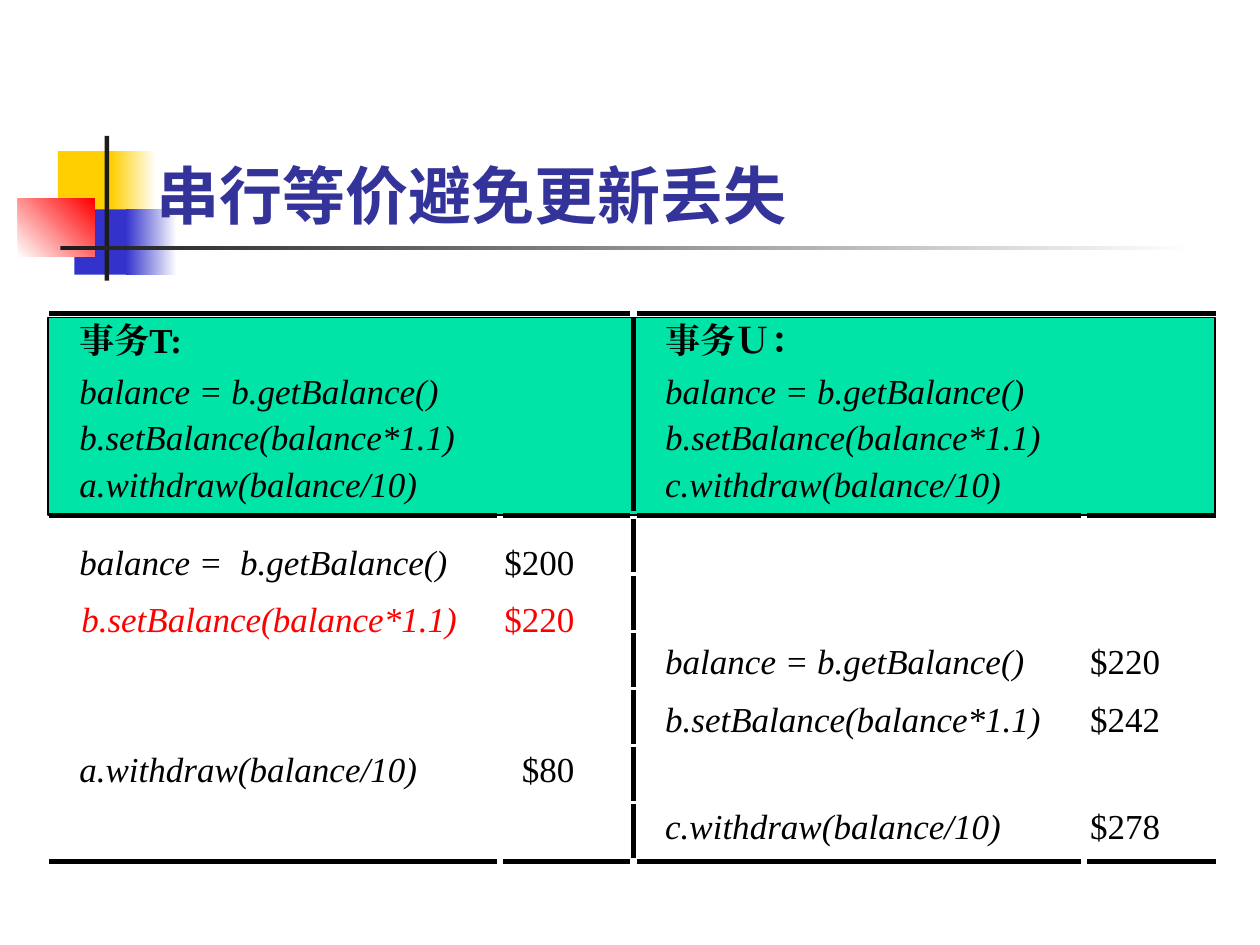
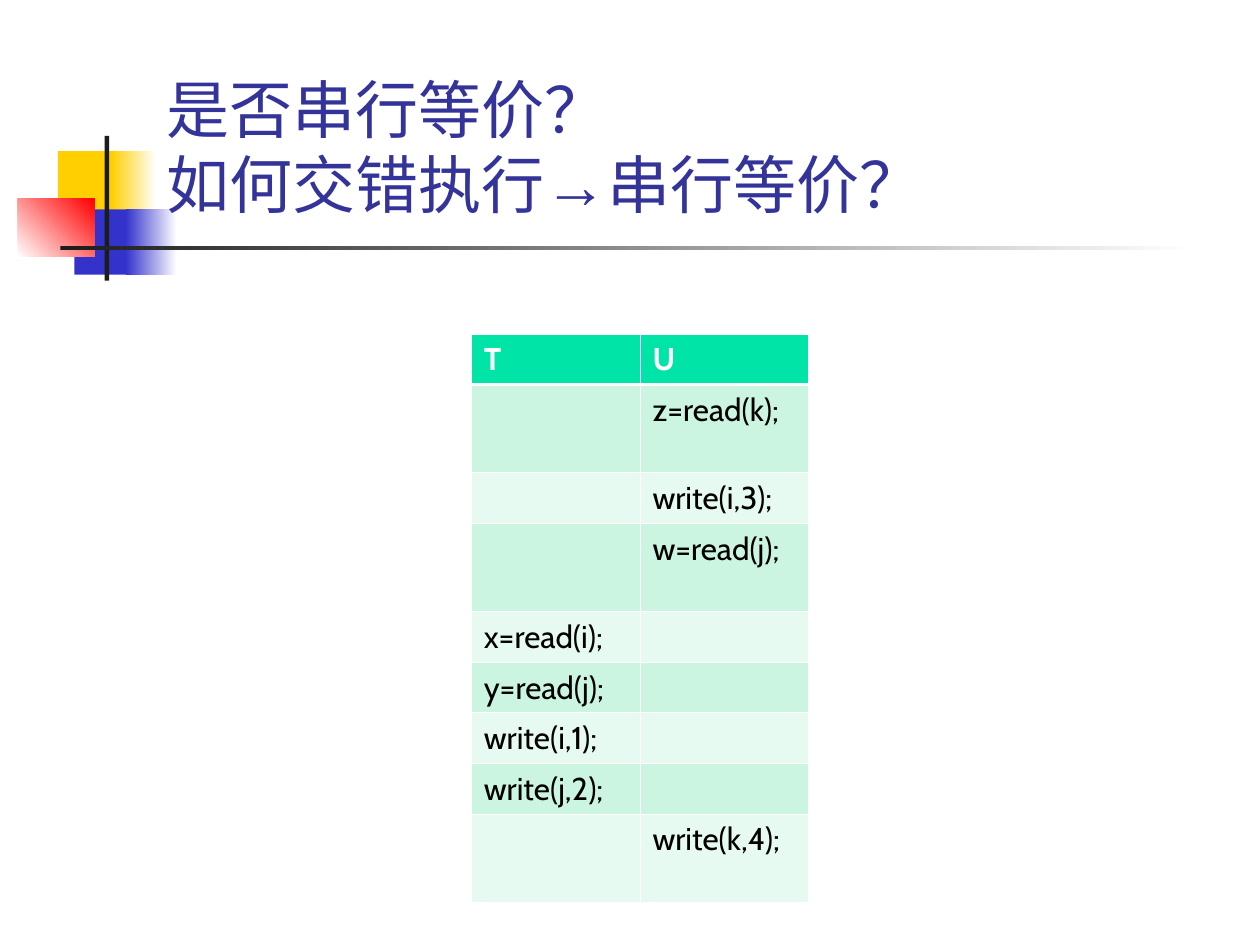
from dataclasses import dataclass

from lxml import etree
from pptx import Presentation
from pptx import util as u
from pptx.dml.color import RGBColor
from pptx.enum import shapes, text
from pptx.oxml.ns import qn


@dataclass(frozen=True)
class Theme:
    ink: str = "000000"
    paper: str = "FFFFFF"
    title: str = "333399"
    gold: str = "FFCF01"
    blue: str = "3333CC"
    red: str = "FF0000"
    dark: str = "1C1C1C"
    mint: str = "00E4A8"
    bands: tuple = ("CBF5E1", "E7FAF1")
    sans: str = "Cabin"
    serif: str = "Times New Roman"
    asian: str = "Noto Sans CJK JP"
    arrow: str = "Arial"
    head: int = 36
    code: int = 20
    cell: int = 18
    rule: float = 2.86
    thin: float = 0.45
    thick: float = 1.47


class Deck:
    """Holds the theme and the current slide, and draws each kind of element."""

    def __init__(self, theme):
        self.theme = theme
        self.file = Presentation()
        self.file.slide_width, self.file.slide_height = u.Cm(25.4), u.Cm(19.05)

    def page(self):
        t = self.theme
        self.slide = self.file.slides.add_slide(self.file.slide_layouts[6])
        self.rect((1.17, 3.05, 1.22, 1.32), t.gold)
        self.rect((2.24, 3.05, 0.91, 1.32), t.gold, t.paper)
        self.rect((1.5, 4.22, 1.17, 1.32), t.blue)
        self.rect((2.54, 4.22, 1.02, 1.32), t.blue, t.paper)
        self.rect((0.36, 4.01, 1.55, 1.17), t.paper, t.red, angle=45)
        self.rect((2.11, 2.74, 0.09, 2.92), t.dark)
        self.rect((1.22, 4.95, 22.86, 0.09), t.dark, t.paper)

    def rect(self, box, color, fade=None, angle=0, line=None):
        shape = self.slide.shapes.add_shape(shapes.MSO_SHAPE.RECTANGLE, *map(u.Cm, box))
        shape.shadow.inherit = False
        if fade:
            shape.fill.gradient()
            shape.fill.gradient_angle = angle
            for stop, tint in zip(shape.fill.gradient_stops, (color, fade)):
                stop.color.rgb = RGBColor.from_string(tint)
        else:
            shape.fill.solid()
            shape.fill.fore_color.rgb = RGBColor.from_string(color)
        if line:
            shape.line.color.rgb = RGBColor.from_string(line)
            shape.line.width = u.Pt(1)
        else:
            shape.line.fill.background()

    def rule(self, x1, y1, x2, y2):
        line = self.slide.shapes.add_connector(
            shapes.MSO_CONNECTOR.STRAIGHT, *map(u.Cm, (x1, y1, x2, y2)))
        line.line.color.rgb = RGBColor.from_string(self.theme.ink)
        line.line.width = u.Pt(self.theme.rule)
        etree.SubElement(line._element.spPr, qn("a:effectLst"))

    def face(self, font, name):
        font.name = name
        etree.SubElement(font._rPr, qn("a:ea"), typeface=name)

    def style(self, para, name, size, color, bold=False, italic=False):
        font = para.font
        font.size, font.bold, font.italic = u.Pt(size), bold, italic
        font.color.rgb = RGBColor.from_string(color)
        self.face(font, name)

    def frame(self, box):
        frame = self.slide.shapes.add_textbox(*map(u.Cm, box)).text_frame
        frame.word_wrap = True
        return frame

    def title(self, box, words, name, bold=False):
        frame = self.frame(box)
        frame.vertical_anchor = text.MSO_ANCHOR.BOTTOM
        para = frame.paragraphs[0]
        para.text = words
        self.style(para, name, self.theme.head, self.theme.title, bold)
        return para

    def code(self, left, top, words, color=None, bold=False, italic=True, width=8, right=False):
        frame = self.frame((left, top, width, 0.84))
        frame.margin_left = frame.margin_right = frame.margin_top = frame.margin_bottom = 0
        para = frame.paragraphs[0]
        para.text = words
        if right:
            para.alignment = text.PP_ALIGN.RIGHT
        self.style(para, self.theme.serif, self.theme.code, color or self.theme.ink, bold, italic)

    def edge(self, cell, side, width):
        line = etree.SubElement(cell._tc.get_or_add_tcPr(), qn("a:ln" + side), w=str(u.Pt(width)))
        fill = etree.SubElement(line, qn("a:solidFill"))
        etree.SubElement(fill, qn("a:srgbClr"), val=self.theme.paper)

    def table(self, left, top, width, rows):
        t = self.theme
        total = sum(high for high, *_ in rows)
        grid = self.slide.shapes.add_table(
            len(rows), 2, *map(u.Cm, (left, top, 2 * width, total))).table
        for col in grid.columns:
            col.width = u.Cm(width)
        for i, (high, *words) in enumerate(rows):
            grid.rows[i].height = u.Cm(high)
            for j, word in enumerate(words):
                cell = grid.cell(i, j)
                for side in "LRTB":
                    heavy = (i, side) in ((0, "B"), (1, "T"))
                    self.edge(cell, side, t.thick if heavy else t.thin)
                cell.fill.solid()
                tint = t.bands[(i - 1) % 2] if i else t.mint
                cell.fill.fore_color.rgb = RGBColor.from_string(tint)
                para = cell.text_frame.paragraphs[0]
                para.text = word
                self.style(para, t.sans, t.cell, t.ink if i else t.paper, bold=i == 0)


def update(deck):
    t = deck.theme
    deck.page()
    deck.rect((0.97, 6.4, 23.52, 3.99), t.mint, line=t.ink)
    deck.title((2.9, 2.31, 18.8, 2.49), "串行等价避免更新丢失", t.asian, bold=True)

    left, right = 1.6, 13.41
    for x, name, last in ((left, "事务T:", "a"), (right, "事务Ｕ：", "c")):
        deck.code(x, 6.43, name, bold=True, italic=False)
        steps = ("balance = b.getBalance()", "b.setBalance(balance*1.1)",
                 f"{last}.withdraw(balance/10)")
        for k, step in enumerate(steps):
            deck.code(x, 7.44 + 0.94 * k, step)

    moves = (
        (left, 10.9, "balance =  b.getBalance()", "$200", t.ink),
        (left, 12.04, "b.setBalance(balance*1.1)", "$220", t.red),
        (right, 12.9, "balance = b.getBalance()", "$220", t.ink),
        (right, 14.07, "b.setBalance(balance*1.1)", "$242", t.ink),
        (left, 15.06, "a.withdraw(balance/10)", "$80", t.ink),
        (right, 16.21, "c.withdraw(balance/10)", "$278", t.ink),
    )
    for x, y, step, sum_, color in moves:
        deck.code(x + (0.04 if color == t.red else 0), y, step, color)
        deck.code(x + 8.46, y, sum_, color, italic=False, width=1.52, right=True)

    halves = ((0.99, 12.7), (12.85, 24.51))
    parts = ((0.99, 10.01), (10.13, 12.7), (12.85, 21.79), (21.92, 24.51))
    for y, spans in ((6.32, halves), (10.39, parts), (17.37, parts)):
        for start, end in spans:
            deck.rule(start, y, end, y)
    mid = 12.78
    deck.rule(mid, 6.4, mid, 10.31)
    for k in range(len(moves)):
        top = 10.46 + 1.15 * k
        deck.rule(mid, top, mid, top + 1.08)


def order(deck):
    t = deck.theme
    deck.page()
    para = deck.title((3.1, 0.53, 21.64, 4.06), "是否串行等价？\v如何交错执行", t.sans)
    arrow = para.add_run()
    arrow.text = "→"
    deck.face(arrow.font, t.arrow)
    para.add_run().text = "串行等价？"
    low, high = 1.02, 1.78
    deck.table(9.5, 6.73, 3.4, (
        (low, "T", "U"),
        (high, "", "z=read(k);"),
        (low, "", "write(i,3);"),
        (high, "", "w=read(j);"),
        (low, "x=read(i);", ""),
        (low, "y=read(j);", ""),
        (low, "write(i,1);", ""),
        (low, "write(j,2);", ""),
        (high, "", "write(k,4);"),
    ))


def main():
    deck = Deck(Theme())
    update(deck)
    order(deck)
    deck.file.save("out.pptx")


if __name__ == "__main__":
    main()
